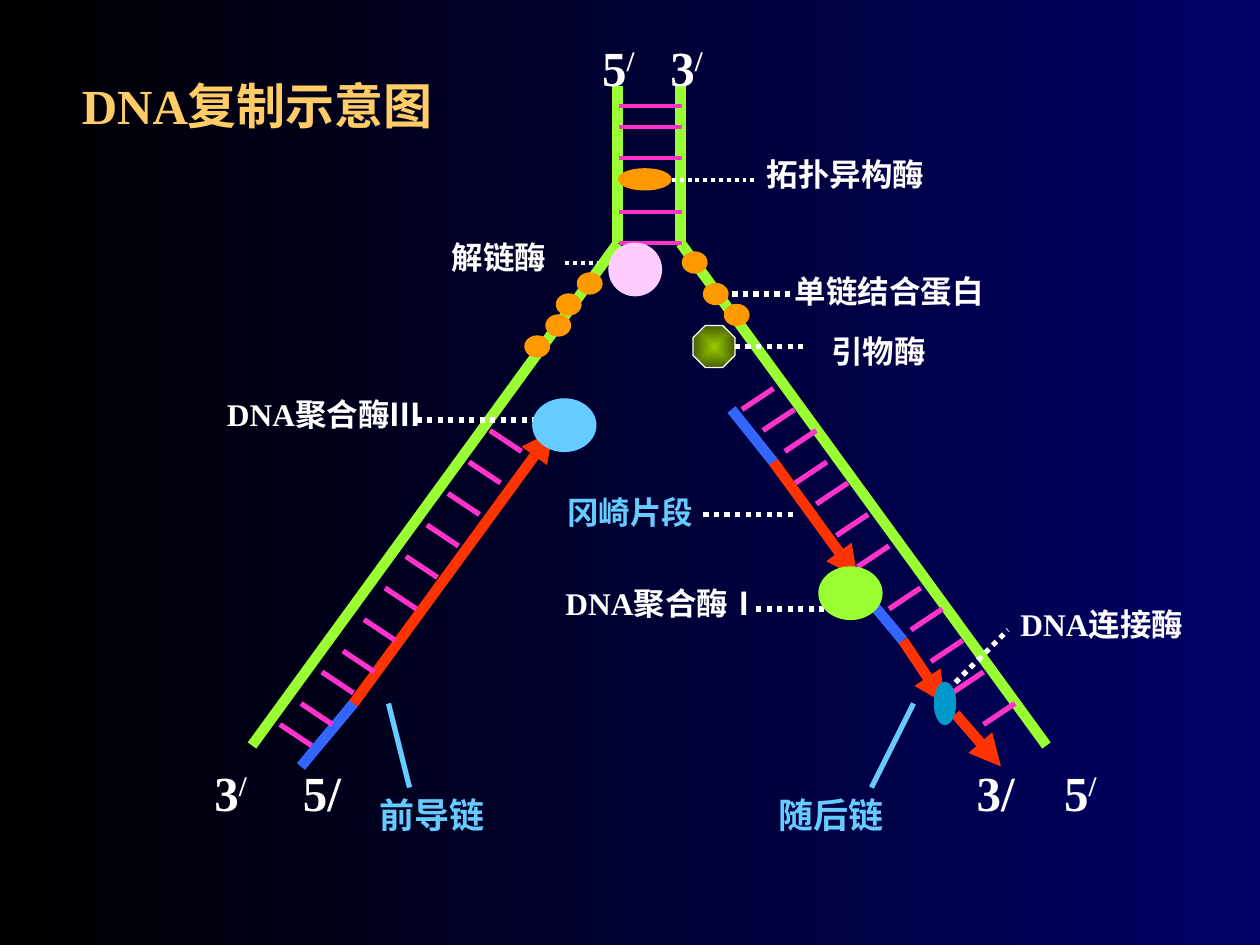
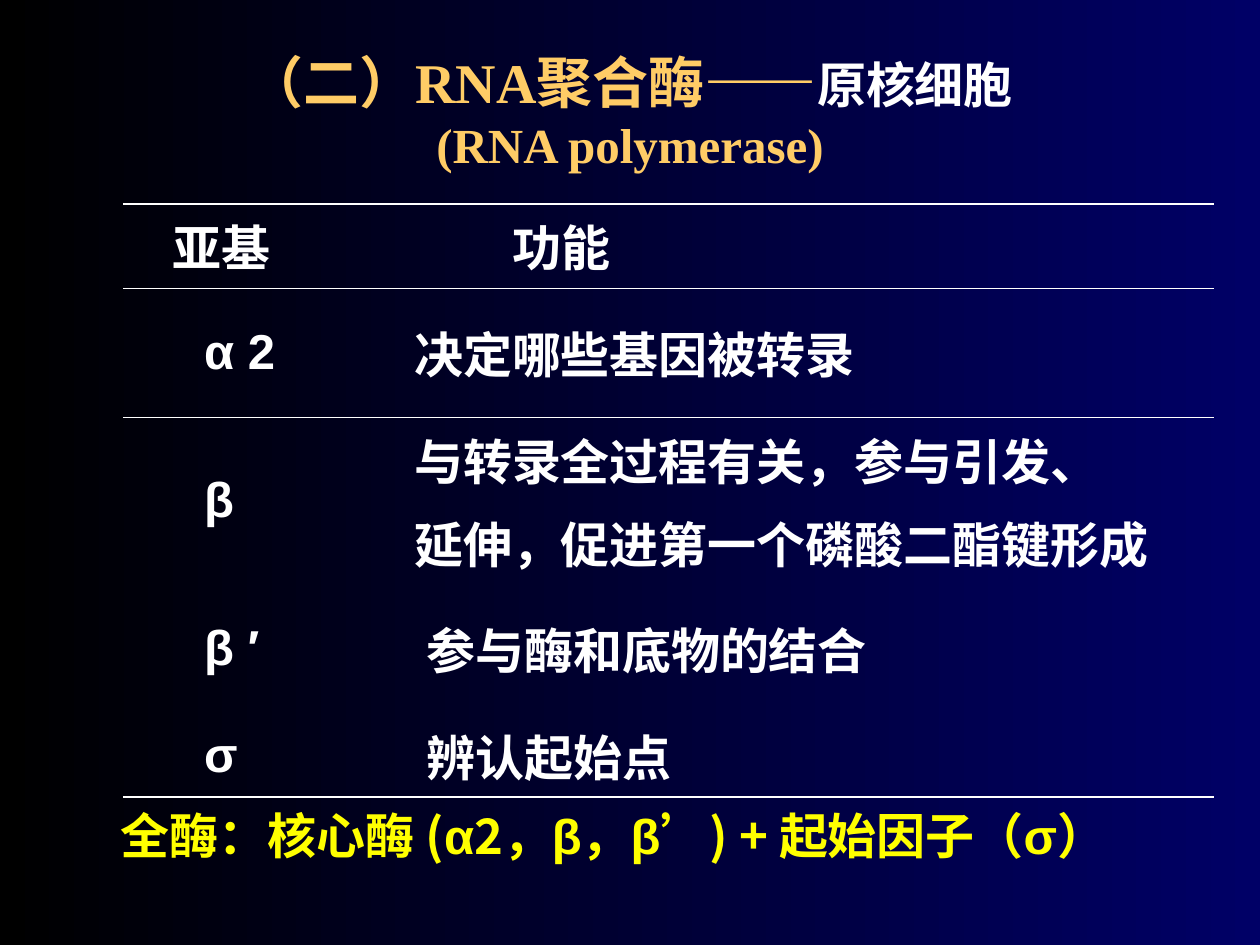
"""Build two slides on DNA replication and RNA polymerase."""
from dataclasses import dataclass

from lxml.etree import SubElement
from pptx import Presentation
from pptx.dml.color import RGBColor
from pptx.enum.dml import MSO_LINE
from pptx.enum.shapes import MSO_CONNECTOR, MSO_SHAPE
from pptx.enum.text import MSO_ANCHOR as ANCHOR, PP_ALIGN as ALIGN
from pptx.oxml import parse_xml
from pptx.oxml.ns import nsdecls, qn
from pptx.util import Pt

COLORS = {
    "night": "000000", "navy": "000066", "gold": "FFCC66", "white": "FFFFFF",
    "yellow": "FFFF00", "lime": "99FF33", "pink": "FF33CC", "orange": "FF9900",
    "rose": "FFCCFF", "sky": "66CCFF", "blue": "3366FF", "red": "FF3300",
    "teal": "0099CC", "olive": "99CC00", "moss": "475E00",
}
SERIF, SANS, CJK = "Times New Roman", "Arial", "Noto Sans CJK SC"
NO_TABLE_STYLE = "{2D5ABB26-0587-4C30-8999-92F81FD0307C}"


@dataclass(frozen=True)
class Line:
    x1: float
    y1: float
    x2: float
    y2: float
    color: str
    width: float = 6
    dotted: bool = False
    arrow: bool = False


@dataclass(frozen=True)
class Enzyme:
    x: float
    y: float
    w: float
    h: float
    color: str


@dataclass(frozen=True)
class Label:
    x: float
    y: float
    w: float
    text: str
    color: str = "white"
    size: float = 18
    prime: str = ""


@dataclass(frozen=True)
class Subunit:
    name: str
    role: tuple[str, ...]
    height: float
    role_indent: float = 35
    name_indent: float = 39
    name_font: str = SANS
    anchor: ANCHOR = ANCHOR.MIDDLE


STRANDS = [
    Line(353, 49, 353, 139, "lime"), Line(389, 49, 389, 139, "lime"),
    Line(353, 139, 144, 426, "lime"), Line(389, 139, 598, 426, "lime"),
]
HELIX_RUNGS = [Line(353.5, y, 389.5, y, "pink", 2.25) for y in (60.5, 72.5, 90.5, 121, 139)]
NEW_STRANDS = [
    Line(172, 438, 202, 402, "blue"), Line(202, 402, 316, 246, "red", arrow=True),
    Line(418, 234, 442, 264, "blue"), Line(442, 264, 490, 330, "red", arrow=True),
    Line(496, 342, 516, 366, "blue"), Line(516, 366, 540, 402, "red", arrow=True),
    Line(546, 408, 572, 438, "red", arrow=True),
]
LEADING_RUNG_YS = (246, 264, 282, 300, 318, 336, 354, 372, 384, 402, 414)
LEADING_RUNGS = [
    Line(280 - 12 * i, y, 298 - 12 * i, y + 12, "pink", 3)
    for i, y in enumerate(LEADING_RUNG_YS)
]
LAGGING_RUNG_STARTS = (
    (424, 234), (436, 246), (448.5, 258), (454.5, 276), (466.5, 288), (478, 306),
    (490, 324), (508, 348), (520.5, 360), (532, 378), (544, 396), (562, 414),
)
LAGGING_RUNGS = [Line(x, y, x + 18, y - 12, "pink", 3) for x, y in LAGGING_RUNG_STARTS]
LEADERS = [
    Line(384, 103, 431, 103, "white", 2.25, True),
    Line(323, 150.5, 341, 150.5, "white", 2.25, True),
    Line(238, 240, 316, 240, "white", 3, True),
    Line(412.5, 168, 454.5, 168, "white", 3, True),
    Line(432, 348, 474, 348, "white", 3, True),
    Line(546, 390, 576, 360, "white", 3, True),
    Line(402, 294, 456, 294, "white", 3, True),
    Line(420, 198, 462, 198, "white", 3, True),
    Line(234, 450, 222, 402, "sky", 3), Line(498, 450, 522, 402, "sky", 3),
]
BINDING_PROTEINS = [
    Enzyme(x, y, 14, 12, "orange")
    for x, y in ((330, 156), (318, 168), (312, 180), (300, 192),
                 (390, 144), (402, 162), (414, 174))
]
ENZYMES = [
    Enzyme(353.5, 96.5, 30, 12, "orange"), Enzyme(348, 139, 30, 30, "rose"),
    Enzyme(304.5, 228, 36, 30, "sky"), Enzyme(468, 324, 36, 30, "lime"),
    Enzyme(534, 390, 12, 24, "teal"), *BINDING_PROTEINS,
]
LABELS = [
    Label(431, 85, 144, "拓扑异构酶"), Label(251, 132.5, 92, "解链酶"),
    Label(447, 152, 168, "单链结合蛋白"), Label(468, 186, 102, "引物酶"),
    Label(122.5, 222, 140, "DNA聚合酶Ⅲ"), Label(316, 330, 140, "DNA聚合酶Ⅰ"),
    Label(576, 342, 130, "DNA连接酶"), Label(317, 278, 112, "冈崎片段", "sky"),
    Label(210, 450, 100, "前导链", "sky", 20), Label(438, 450, 100, "随后链", "sky", 20),
    Label(337, 18, 50, "5", size=28, prime="/"), Label(376, 18, 50, "3", size=28, prime="/"),
    Label(115.5, 432, 50, "3", size=28, prime="/"), Label(166, 432, 50, "5/", size=28),
    Label(551, 432, 50, "3/", size=28), Label(601, 432, 50, "5", size=28, prime="/"),
]
SUBUNITS = [
    Subunit("亚基", ("功能",), 48, 91, 21, SERIF, ANCHOR.TOP),
    Subunit("α 2", ("决定哪些基因被转录",), 74),
    Subunit("β", ("与转录全过程有关，参与引发、", "延伸，促进第一个磷酸二酯键形成"), 95),
    Subunit("β ′", ("参与酶和底物的结合",), 74, 42),
    Subunit("σ", ("辨认起始点",), 48, 42),
]
HOLOENZYME = (
    ("全酶：核心酶 (", CJK), ("α", SANS), ("2，", CJK), ("β", SANS), ("，", CJK),
    ("β", SANS), ("’) + 起始因子（", CJK), ("σ", SANS), ("）", CJK),
)


def rgb(color: str) -> RGBColor:
    return RGBColor.from_string(COLORS[color])


def add_run(p, text: str, *, size: float = 28, color: str = "white",
            font: str = SERIF, raised: bool = False) -> None:
    r = p.add_run()
    r.text = text
    r.font.size, r.font.bold, r.font.name = Pt(size), True, font
    r.font.color.rgb = rgb(color)
    rpr = r.font._element
    SubElement(rpr, qn("a:ea")).set("typeface", CJK)
    if raised:
        rpr.set("baseline", "30000")


def add_box(s, x: float, y: float, w: float, h: float, anchor=ANCHOR.TOP, align=ALIGN.LEFT):
    tf = s.shapes.add_textbox(Pt(x), Pt(y), Pt(w), Pt(h)).text_frame
    tf.word_wrap = True
    tf.vertical_anchor = anchor
    p = tf.paragraphs[0]
    p.alignment = align
    return p


def add_title(s, x: float, y: float, w: float, h: float):
    return add_box(s, x, y, w, h, ANCHOR.MIDDLE, ALIGN.CENTER)


def set_gradient(fill, first: str, last: str) -> None:
    fill.gradient()
    for stop, color in zip(fill.gradient_stops, (first, last)):
        stop.color.rgb = rgb(color)


def add_slide(prs):
    s = prs.slides.add_slide(prs.slide_layouts[6])
    fill = s.background.fill
    set_gradient(fill, "night", "navy")
    fill.gradient_angle = 0
    return s


def draw_line(s, line: Line) -> None:
    c = s.shapes.add_connector(
        MSO_CONNECTOR.STRAIGHT, Pt(line.x1), Pt(line.y1), Pt(line.x2), Pt(line.y2))
    c.line.color.rgb = rgb(line.color)
    c.line.width = Pt(line.width)
    if line.dotted:
        c.line.dash_style = MSO_LINE.ROUND_DOT
    if line.arrow:
        SubElement(c.line._get_or_add_ln(), qn("a:tailEnd")).set("type", "triangle")
    SubElement(c._element.spPr, qn("a:effectLst"))


def add_enzyme_shape(s, kind, x: float, y: float, w: float, h: float, line: str):
    sp = s.shapes.add_shape(kind, Pt(x), Pt(y), Pt(w), Pt(h))
    sp.shadow.inherit = False
    sp.line.color.rgb = rgb(line)
    sp.line.width = Pt(0.75)
    return sp


def draw_enzyme(s, e: Enzyme) -> None:
    sp = add_enzyme_shape(s, MSO_SHAPE.OVAL, e.x, e.y, e.w, e.h, e.color)
    sp.fill.solid()
    sp.fill.fore_color.rgb = rgb(e.color)


def draw_primase(s) -> None:
    sp = add_enzyme_shape(s, MSO_SHAPE.OCTAGON, 396, 186, 24, 24, "white")
    set_gradient(sp.fill, "olive", "moss")
    lin = sp._element.spPr.find(qn("a:gradFill")).find(qn("a:lin"))
    lin.getparent().replace(lin, parse_xml(
        f'<a:path {nsdecls("a")} path="rect">'
        '<a:fillToRect l="50000" t="50000" r="50000" b="50000"/></a:path>'))


def draw_label(s, label: Label) -> None:
    p = add_box(s, label.x, label.y, label.w, 29 if label.size < 28 else 41)
    add_run(p, label.text, size=label.size, color=label.color)
    if label.prime:
        add_run(p, label.prime, size=label.size, color=label.color, raised=True)


def fill_cell(cell, lines: tuple[str, ...], indent: float, font: str, anchor) -> None:
    cell.fill.background()
    cell.vertical_anchor = anchor
    tf = cell.text_frame
    for i, text in enumerate(lines):
        p = tf.add_paragraph() if i else tf.paragraphs[0]
        if i:
            p.space_before = Pt(7)
        p._p.get_or_add_pPr().set("marL", str(Pt(indent)))
        add_run(p, text, font=font)


def add_border(cell, side: str, width: float) -> None:
    cell._tc.get_or_add_tcPr().insert(0, parse_xml(
        f'<a:{side} {nsdecls("a")} w="{Pt(width)}"><a:solidFill>'
        f'<a:srgbClr val="{COLORS["white"]}"/></a:solidFill></a:{side}>'))


def draw_subunit_table(s) -> None:
    height = sum(u.height for u in SUBUNITS)
    frame = s.shapes.add_table(len(SUBUNITS), 2, Pt(70.5), Pt(116.5), Pt(623.5), Pt(height))
    table = frame.table
    table.first_row = table.horz_banding = False
    table._tbl.tblPr.find(qn("a:tableStyleId")).text = NO_TABLE_STYLE
    for column, width in zip(table.columns, (124, 499.5)):
        column.width = Pt(width)
    for row, u in zip(table.rows, SUBUNITS):
        row.height = Pt(u.height)
        name, role = row.cells
        fill_cell(name, (u.name,), u.name_indent, u.name_font, u.anchor)
        fill_cell(role, u.role, u.role_indent, SERIF, u.anchor)
    for i in range(2):
        add_border(table.cell(0, i), "lnB", 0.45)
        add_border(table.cell(0, i), "lnT", 1.08)
        add_border(table.cell(1, i), "lnT", 0.45)
        add_border(table.cell(len(SUBUNITS) - 1, i), "lnB", 1.08)


def build_replication(prs) -> None:
    s = add_slide(prs)
    add_run(add_title(s, 24, 30, 246, 60), "DNA复制示意图", color="gold")
    for line in STRANDS + HELIX_RUNGS + NEW_STRANDS + LEADING_RUNGS + LAGGING_RUNGS + LEADERS:
        draw_line(s, line)
    for enzyme in ENZYMES:
        draw_enzyme(s, enzyme)
    draw_primase(s)
    for label in LABELS:
        draw_label(s, label)


def build_polymerase(prs) -> None:
    s = add_slide(prs)
    p = add_title(s, 54, 36, 612, 54)
    add_run(p, "（二）RNA聚合酶——", size=32, color="gold")
    add_run(p, "原核细胞")
    p.add_line_break()
    add_run(p, "(RNA polymerase)", color="gold")
    draw_subunit_table(s)
    p = add_box(s, 62, 457, 658, 41)
    for text, font in HOLOENZYME:
        add_run(p, text, color="yellow", font=font)


def main() -> None:
    prs = Presentation()
    prs.slide_width, prs.slide_height = Pt(720), Pt(540)
    build_replication(prs)
    build_polymerase(prs)
    prs.save("out.pptx")


if __name__ == "__main__":
    main()
